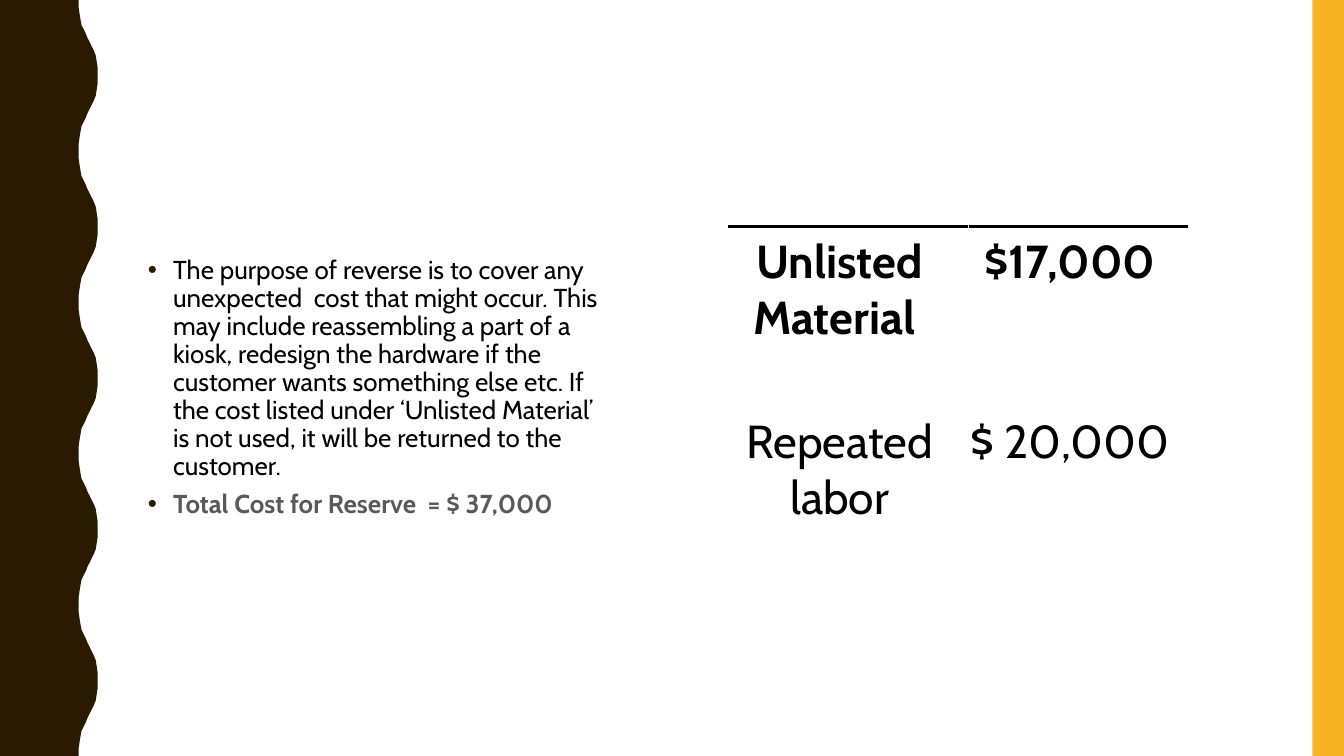
from dataclasses import dataclass

from pptx import Presentation
from pptx.dml.color import RGBColor
from pptx.enum.shapes import MSO_SHAPE as Preset
from pptx.enum.text import PP_ALIGN as Align
from pptx.oxml import parse_xml
from pptx.oxml.ns import nsdecls
from pptx.util import Pt

COLORS = {"wave": "2A1A00", "stripe": "F8B323", "ink": "000000", "muted": "595959"}
FONT = "Cabin"
SLIDE_WIDTH, SLIDE_HEIGHT = 960, 540

# One rising half of a wave, then its mirror; the edge repeats the pair
WAVE_PERIOD, WAVE_COUNT = 108, 5
RISE = [(56.16, 0), (56.16, 5.04), (56.9, 10.1), (57.6, 14.4), (58.3, 18),
        (59.76, 20.9), (61.2, 23.8), (62.64, 27.36), (64.1, 30.24), (65.5, 33.1),
        (66.96, 36), (68.4, 39.6), (69.1, 43.9), (69.84, 49), (69.84, 54)]
WAVE = RISE + [(x, WAVE_PERIOD - y) for x, y in reversed(RISE[1:-1])]


@dataclass(frozen=True)
class Bullet:
    text: str
    color: str
    bold: bool
    space_before: float


@dataclass(frozen=True)
class CostRow:
    item: str
    cost: str
    height: float
    bold: bool


BULLETS = [
    Bullet("The purpose of reverse is to cover any unexpected  cost that might occur. "
           "This may include reassembling a part of a kiosk, redesign the hardware if the "
           "customer wants something else etc. If  the cost listed under ‘Unlisted "
           "Material’ is not used, it will be returned to the customer.",
           "ink", False, 0),
    Bullet("Total Cost for Reserve  = $ 37,000", "muted", True, 7),
]
COST_ROWS = [
    CostRow("Unlisted Material ", "$17,000", 128.9, True),
    CostRow("Repeated labor", "$ 20,000", 89.3, False),
]
COLUMN_WIDTHS = [172.1, 157]


def rgb(name: str) -> RGBColor:
    return RGBColor.from_string(COLORS[name])


def write(para, text: str, *, size: float, color: str = "ink", bold: bool = False,
          align=Align.LEFT, line_spacing: float = 1.0, space_before: float = 0) -> None:
    para.alignment = align
    para.line_spacing = line_spacing
    para.space_before = Pt(space_before)
    span = para.add_run()
    span.text = text
    span.font.name = FONT
    span.font.size = Pt(size)
    span.font.bold = bold
    span.font.color.rgb = rgb(color)


def paint(shape, color: str) -> None:
    shape.shadow.inherit = False
    shape.fill.solid()
    shape.fill.fore_color.rgb = rgb(color)
    shape.line.fill.background()


def draw_side_bands(page) -> None:
    edge = [(x, y + WAVE_PERIOD * index) for index in range(WAVE_COUNT) for x, y in WAVE]
    outline = edge + [(RISE[0][0], SLIDE_HEIGHT), (0, SLIDE_HEIGHT)]
    builder = page.shapes.build_freeform(0, 0)
    builder.add_line_segments([(Pt(x), Pt(y)) for x, y in outline], close=True)
    paint(builder.convert_to_shape(), "wave")
    stripe = page.shapes.add_shape(Preset.RECTANGLE, Pt(937.5), 0, Pt(22.5), Pt(SLIDE_HEIGHT))
    paint(stripe, "stripe")


def add_bullet_mark(para) -> None:
    properties = para._p.get_or_add_pPr()
    properties.set("marL", str(Pt(18)))
    properties.set("indent", str(-Pt(18)))
    properties.append(parse_xml(
        f'<a:buClr {nsdecls("a")}><a:srgbClr val="{COLORS["wave"]}"/></a:buClr>'))
    properties.append(parse_xml(f'<a:buFont {nsdecls("a")} typeface="Arial"/>'))
    properties.append(parse_xml(f'<a:buChar {nsdecls("a")} char="•"/>'))


def draw_bullets(page, bullets: list[Bullet]) -> None:
    box = page.shapes.add_textbox(Pt(98.6), Pt(180), Pt(343.4), Pt(283))
    frame = box.text_frame
    frame.word_wrap = True
    for index, bullet in enumerate(bullets):
        para = frame.add_paragraph() if index else frame.paragraphs[0]
        add_bullet_mark(para)
        write(para, bullet.text, size=18.5, color=bullet.color, bold=bullet.bold,
              line_spacing=0.9, space_before=bullet.space_before)


def add_top_border(cell) -> None:
    cell._tc.get_or_add_tcPr().insert(0, parse_xml(
        f'<a:lnT {nsdecls("a")} w="{Pt(2.25)}"><a:solidFill>'
        f'<a:srgbClr val="{COLORS["ink"]}"/></a:solidFill></a:lnT>'))


def draw_cost_table(page, rows: list[CostRow]) -> None:
    frame = page.shapes.add_table(len(rows), len(COLUMN_WIDTHS), Pt(519.8), Pt(162),
                                  Pt(sum(COLUMN_WIDTHS)), Pt(sum(r.height for r in rows)))
    table = frame.table
    table.first_row = table.horz_banding = False
    for column, width in zip(table.columns, COLUMN_WIDTHS):
        column.width = Pt(width)
    for index, row in enumerate(rows):
        table.rows[index].height = Pt(row.height)
        for cell, text in zip(table.rows[index].cells, (row.item, row.cost)):
            cell.fill.background()
            cell.margin_left, cell.margin_top = Pt(0), Pt(5)
            cell.margin_right, cell.margin_bottom = Pt(12.2), Pt(35.3)
            write(cell.text_frame.paragraphs[0], text, size=33, bold=row.bold,
                  align=Align.CENTER)
            if index == 0:
                add_top_border(cell)


def main() -> None:
    deck = Presentation()
    deck.slide_width, deck.slide_height = Pt(SLIDE_WIDTH), Pt(SLIDE_HEIGHT)
    page = deck.slides.add_slide(deck.slide_layouts[6])
    draw_side_bands(page)
    draw_bullets(page, BULLETS)
    draw_cost_table(page, COST_ROWS)
    deck.save("out.pptx")


if __name__ == "__main__":
    main()
